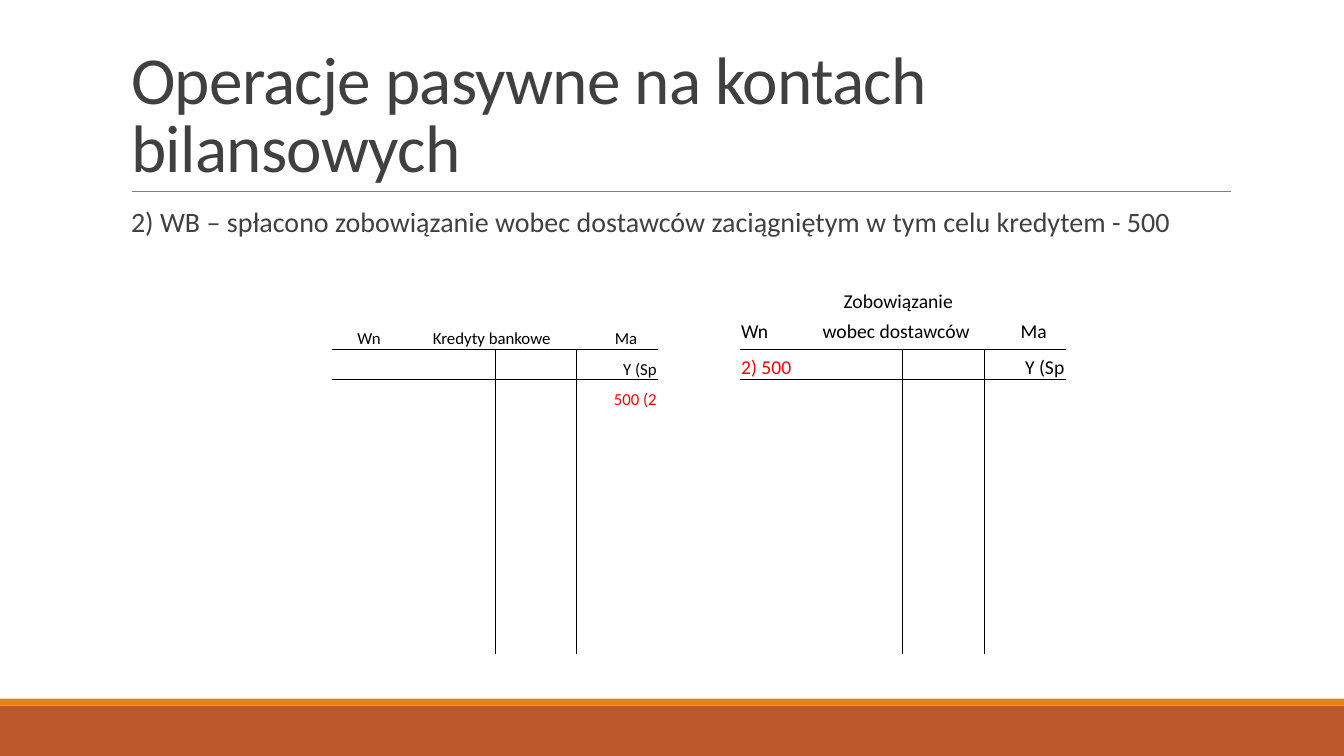
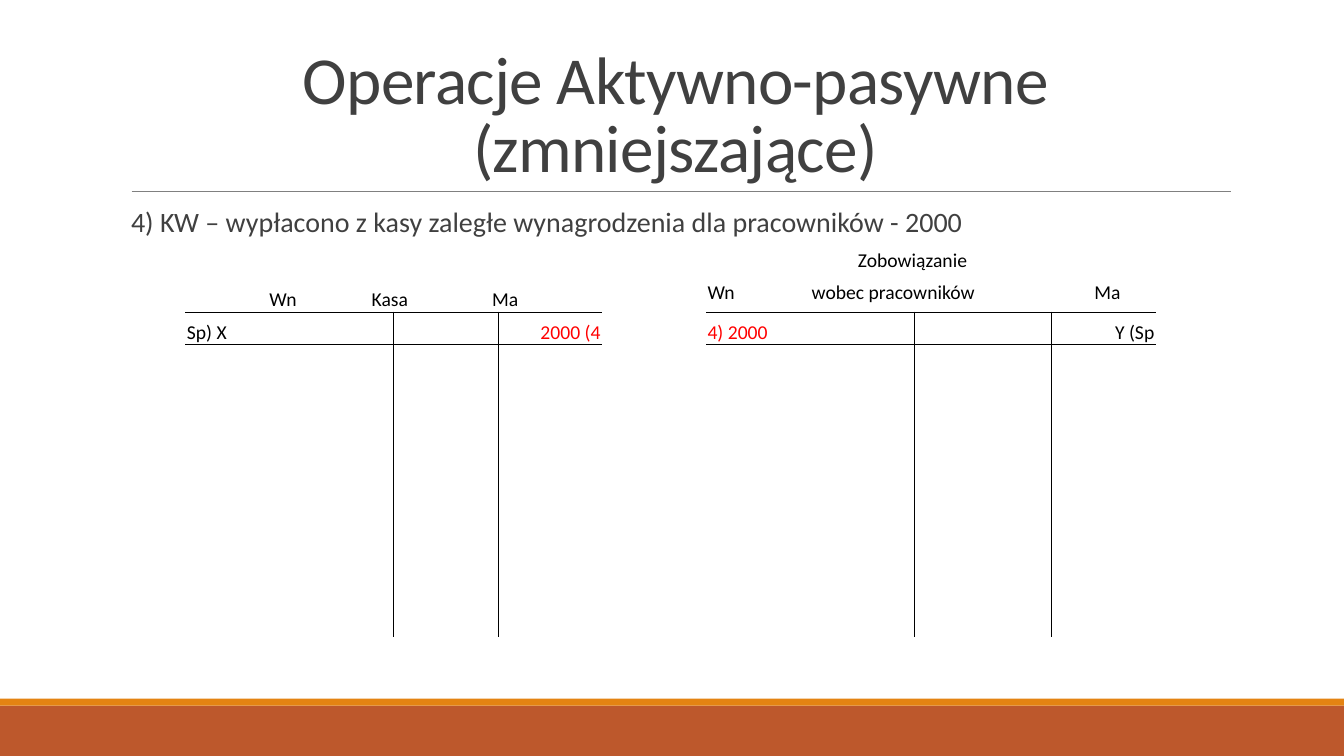
from collections import defaultdict
from dataclasses import dataclass

from lxml.etree import SubElement
from pptx import Presentation
from pptx.dml.color import RGBColor
from pptx.enum.shapes import MSO_CONNECTOR, MSO_SHAPE
from pptx.enum.text import MSO_ANCHOR, MSO_AUTO_SIZE, PP_ALIGN
from pptx.oxml.ns import qn
from pptx.util import Pt

SLIDE_WIDTH, SLIDE_HEIGHT = 960, 540
FONT = "Calibri"
RUST = RGBColor(0xBD, 0x58, 0x2C)
ORANGE = RGBColor(0xE4, 0x83, 0x12)
GRAY = RGBColor(0x80, 0x80, 0x80)
CHARCOAL = RGBColor(0x40, 0x40, 0x40)
BLACK = RGBColor(0, 0, 0)
RED = RGBColor(0xFF, 0, 0)
NO_STYLE_NO_GRID = "{2D5ABB26-0587-4C30-8999-92F81FD0307C}"
ACCOUNT_COLUMNS = 4


@dataclass
class Label:
    """Heading text; column and row count from the account's header row start."""
    text: str
    column: int = 0
    row: int = 0
    span: int = 1
    indent: float = 1
    tabs: tuple = ()
    anchor: MSO_ANCHOR = MSO_ANCHOR.TOP


@dataclass
class Account:
    """A T-account: debit entries on the left, credit entries on the right."""
    first_column: int
    labels: list
    debit: tuple = ()
    credit: tuple = ()
    size: float = 14


@dataclass
class Ledger:
    left: float
    top: float
    widths: list
    row_height: float
    row_count: int
    header_row: int
    accounts: list


def set_font(paragraph, size, color):
    paragraph.font.name = FONT
    paragraph.font.size = Pt(size)
    paragraph.font.color.rgb = color


def add_band(slide, top, height, color):
    band = slide.shapes.add_shape(
        MSO_SHAPE.RECTANGLE, 0, Pt(top), Pt(SLIDE_WIDTH), Pt(height))
    band.shadow.inherit = False
    band.fill.solid()
    band.fill.fore_color.rgb = color
    band.line.fill.background()


def add_frame(slide):
    """Footer bands and the rule below the title."""
    add_band(slide, 504, 36, RUST)
    add_band(slide, 499, 5, ORANGE)
    rule = slide.shapes.add_connector(
        MSO_CONNECTOR.STRAIGHT, Pt(94), Pt(136.8), Pt(879), Pt(136.8))
    rule.line.color.rgb = GRAY
    rule.line.width = Pt(0.5)
    SubElement(rule._element.spPr, qn("a:effectLst"))


def set_title(slide, text, alignment):
    title = slide.shapes.title
    title.left, title.top = Pt(86.4), Pt(22.5)
    title.width, title.height = Pt(792), Pt(114.3)
    frame = title.text_frame
    frame.text = text
    frame.auto_size = MSO_AUTO_SIZE.NONE
    frame.vertical_anchor = MSO_ANCHOR.BOTTOM
    paragraph = frame.paragraphs[0]
    paragraph.alignment = alignment
    paragraph.line_spacing = 0.85
    set_font(paragraph, 48, CHARCOAL)
    paragraph.font._element.set("spc", "-50")


def add_operation(slide, text):
    box = slide.shapes.add_textbox(Pt(93.6), Pt(145.5), Pt(785), Pt(32))
    frame = box.text_frame
    frame.word_wrap = True
    frame.margin_left = frame.margin_right = 0
    frame.text = text
    paragraph = frame.paragraphs[0]
    paragraph.line_spacing = 0.9
    set_font(paragraph, 20, CHARCOAL)


def draw_borders(cell, sides):
    properties = cell._tc.get_or_add_tcPr()
    for side in "LRTB":
        if side in sides:
            border = SubElement(properties, qn(f"a:ln{side}"), w=str(Pt(0.5)))
            fill = SubElement(border, qn("a:solidFill"))
            SubElement(fill, qn("a:srgbClr"), val=str(BLACK))


def write_cell(cell, text, size, color=BLACK, alignment=PP_ALIGN.LEFT,
               anchor=MSO_ANCHOR.BOTTOM):
    cell.text = text
    cell.vertical_anchor = anchor
    paragraph = cell.text_frame.paragraphs[0]
    paragraph.alignment = alignment
    set_font(paragraph, size, color)
    return paragraph


def add_tab_stops(paragraph, positions):
    # The tab list comes before the default run properties.
    properties = paragraph._p.get_or_add_pPr()
    stops = SubElement(properties, qn("a:tabLst"))
    for position in positions:
        SubElement(stops, qn("a:tab"), pos=str(Pt(position)), algn="l")
    properties.insert(0, stops)


def account_borders(ledger):
    """Map each (row, column) to the sides that form the T lines."""
    sides = defaultdict(str)
    for account in ledger.accounts:
        first = account.first_column
        for column in range(first, first + ACCOUNT_COLUMNS):
            sides[ledger.header_row, column] += "B"
            sides[ledger.header_row + 1, column] += "T"
        middle = first + ACCOUNT_COLUMNS // 2
        for row in range(ledger.header_row + 1, ledger.row_count - 1):
            sides[row, middle - 1] += "R"
            sides[row, middle] += "L"
    return sides


def fill_account(table, account, header_row):
    first = account.first_column
    for label in account.labels:
        row, column = header_row + label.row, first + label.column
        cell = table.cell(row, column)
        if label.span > 1:
            cell.merge(table.cell(row, column + label.span - 1))
        paragraph = write_cell(cell, label.text, account.size, anchor=label.anchor)
        cell.margin_left = Pt(label.indent)
        if label.tabs:
            add_tab_stops(paragraph, label.tabs)
    last = first + ACCOUNT_COLUMNS - 1
    for column, entries, alignment in ((first, account.debit, PP_ALIGN.LEFT),
                                       (last, account.credit, PP_ALIGN.RIGHT)):
        for row, (text, color) in enumerate(entries, header_row + 1):
            write_cell(table.cell(row, column), text, account.size, color, alignment)


def add_ledger(slide, ledger):
    table = slide.shapes.add_table(
        ledger.row_count, len(ledger.widths), Pt(ledger.left), Pt(ledger.top),
        Pt(sum(ledger.widths)), Pt(ledger.row_height * ledger.row_count)).table
    table.first_row = table.horz_banding = False
    table._tbl.tblPr.find(qn("a:tableStyleId")).text = NO_STYLE_NO_GRID
    for column, width in zip(table.columns, ledger.widths):
        column.width = Pt(width)
    sides = account_borders(ledger)
    for row_index, row in enumerate(table.rows):
        row.height = Pt(ledger.row_height)
        for column_index, cell in enumerate(row.cells):
            cell.margin_left = cell.margin_right = cell.margin_top = Pt(1)
            cell.margin_bottom = 0
            draw_borders(cell, sides[row_index, column_index])
            cell.fill.background()
            # Keeps empty cells from stretching their row.
            SubElement(cell.text_frame.paragraphs[0]._p, qn("a:endParaRPr"), sz="1200")
    for account in ledger.accounts:
        fill_account(table, account, ledger.header_row)


def tabbed_heading(name, indent, tabs):
    return Label(f"Wn\t{name}\tMa", span=ACCOUNT_COLUMNS, indent=indent,
                 tabs=tabs, anchor=MSO_ANCHOR.BOTTOM)


def liability_headings(creditors, name_indent, credit_indent):
    return [Label("Zobowiązanie", column=1, row=-1, span=2, indent=name_indent),
            Label("Wn"),
            Label(f"wobec {creditors}", column=1, span=2),
            Label("Ma", column=3, indent=credit_indent)]


def add_operation_slide(presentation, title, alignment, operation, ledger):
    slide = presentation.slides.add_slide(presentation.slide_layouts[5])
    add_frame(slide)
    set_title(slide, title, alignment)
    add_operation(slide, operation)
    add_ledger(slide, ledger)


def main():
    presentation = Presentation()
    presentation.slide_width = Pt(SLIDE_WIDTH)
    presentation.slide_height = Pt(SLIDE_HEIGHT)

    opening_credit = ("Y (Sp", BLACK)
    loans = Account(1, [tabbed_heading("Kredyty bankowe", 18, (54, 184))],
                    credit=(opening_credit, ("500 (2", RED)), size=12)
    suppliers = Account(6, liability_headings("dostawców", 16, 26),
                        debit=(("2) 500", RED),), credit=(opening_credit,))
    add_operation_slide(
        presentation, "Operacje pasywne na kontach bilansowych", PP_ALIGN.LEFT,
        "2) WB – spłacono zobowiązanie wobec dostawców zaciągniętym w tym celu "
        "kredytem - 500",
        Ledger(179, 184.3, [58.25] * 11, 21.75, 14, 2, [loans, suppliers]))

    cash = Account(0, [tabbed_heading("Kasa", 60, (73, 159))],
                   debit=(("Sp) X", BLACK),), credit=(("2000 (4", RED),))
    employees = Account(5, liability_headings("pracowników", 34, 30.5),
                        debit=(("4) 2000", RED),), credit=(opening_credit,))
    add_operation_slide(
        presentation, "Operacje Aktywno-pasywne (zmniejszające)", PP_ALIGN.CENTER,
        "4) KW – wypłacono z kasy zaległe wynagrodzenia dla pracowników - 2000",
        Ledger(132.5, 176.4, [74.4] * 7 + [98, 74.4], 23.2, 13, 1,
               [cash, employees]))

    presentation.save("out.pptx")


if __name__ == "__main__":
    main()
